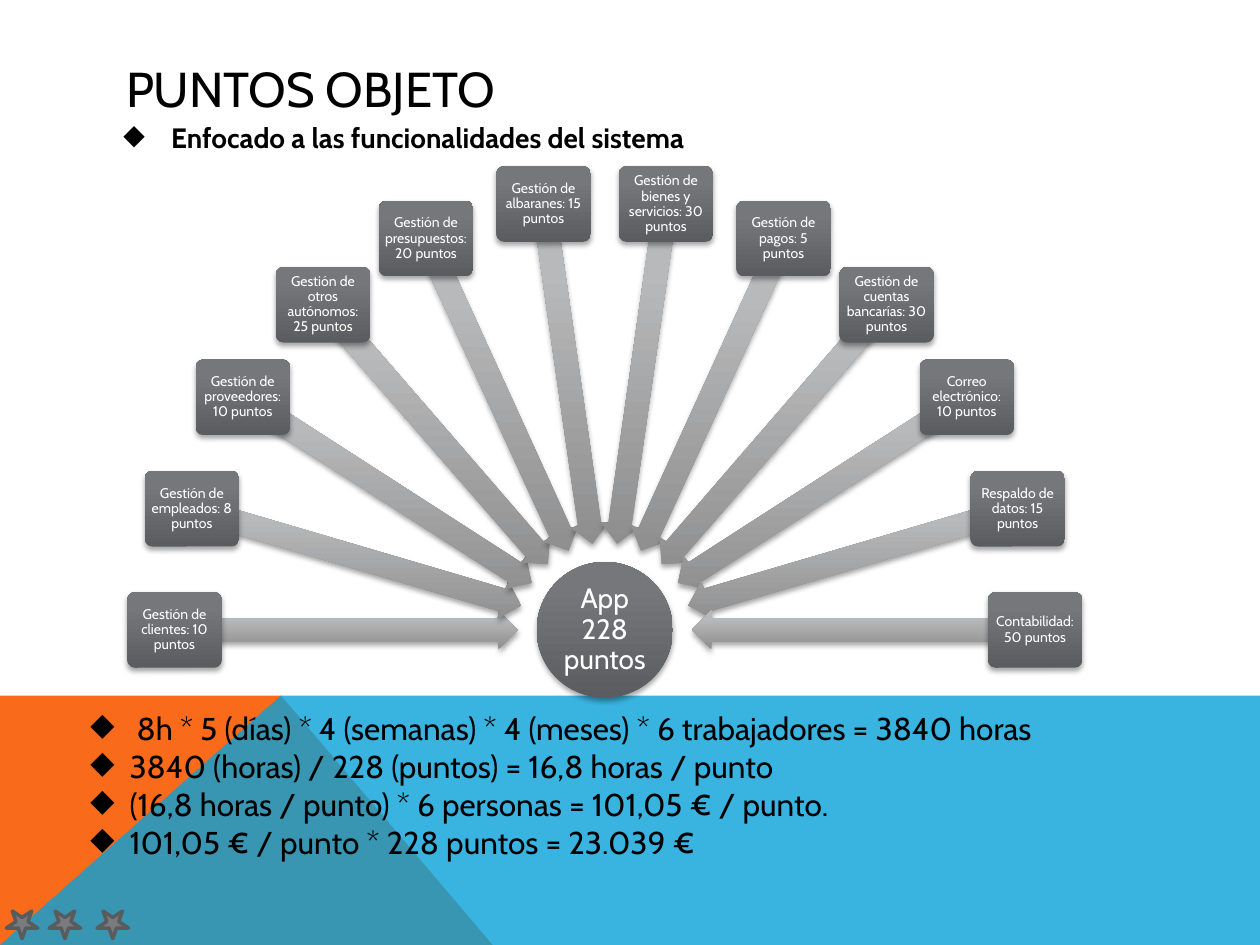
import math

from lxml import etree
from pptx import Presentation
from pptx import util as u
from pptx.dml.color import RGBColor
from pptx.enum import shapes, text
from pptx.oxml import parse_xml
from pptx.oxml.ns import nsdecls, qn

BLACK = RGBColor(0x00, 0x00, 0x00)
WHITE = RGBColor(0xFF, 0xFF, 0xFF)
ORANGE = RGBColor(0xF9, 0x6A, 0x1B)
BLUE = RGBColor(0x08, 0xA1, 0xD9)
STAR_FILL = RGBColor(0x79, 0x7B, 0x7E)
STAR_LINE = RGBColor(0x5A, 0x5B, 0x5D)
DARK_GRADIENT = (
    (0, RGBColor(0x5A, 0x5C, 0x5F)),
    (80, RGBColor(0x75, 0x77, 0x7B)),
    (100, RGBColor(0x75, 0x78, 0x7C)),
)
LIGHT_GRADIENT = (
    (0, RGBColor(0x8E, 0x8E, 0x8F)),
    (80, RGBColor(0xB8, 0xB9, 0xBA)),
    (100, RGBColor(0xB9, 0xBA, 0xBB)),
)

CENTER_X, CENTER_Y = 4.8, 5.0
BOX_RADIUS, ARROW_RADIUS = 3.415, 2.05

FUNCTIONS = [
    "Gestión de clientes: 10 puntos",
    "Gestión de empleados: 8 puntos",
    "Gestión de proveedores: 10 puntos",
    "Gestión de otros autónomos: 25 puntos",
    "Gestión de presupuestos: 20 puntos",
    "Gestión de albaranes: 15 puntos",
    "Gestión de bienes y servicios: 30 puntos",
    "Gestión de pagos: 5 puntos",
    "Gestión de cuentas bancarías: 30 puntos",
    "Correo electrónico: 10 puntos",
    "Respaldo de datos: 15 puntos",
    "Contabilidad: 50 puntos",
]
CALCULATIONS = [
    " 8h * 5 (días) * 4 (semanas) * 4 (meses) * 6 trabajadores = 3840 horas",
    "3840 (horas) / 228 (puntos) = 16,8 horas / punto",
    "(16,8 horas / punto) * 6 personas = 101,05 € / punto.",
    "101,05 € / punto * 228 puntos = 23.039 €",
]


class SlideBuilder:
    def __init__(self, slide, font_name):
        self.s = slide
        self.font_name = font_name

    def style(self, p, size, color, bold=False):
        p.font.name = self.font_name
        p.font.size = u.Pt(size)
        p.font.color.rgb = color
        p.font.bold = bold

    def title(self, content, left, top, width, height):
        sp = self.s.shapes.title
        sp.left, sp.top = u.Inches(left), u.Inches(top)
        sp.width, sp.height = u.Inches(width), u.Inches(height)
        tf = sp.text_frame
        tf.text = content
        tf.auto_size = text.MSO_AUTO_SIZE.NONE
        tf.vertical_anchor = text.MSO_ANCHOR.MIDDLE
        p = tf.paragraphs[0]
        p.alignment = text.PP_ALIGN.LEFT
        self.style(p, 28, BLACK)

    def bullets(self, lines, left, top, width, height, size, indent, bold=False, before=0):
        sp = self.s.shapes.add_textbox(*map(u.Inches, (left, top, width, height)))
        tf = sp.text_frame
        tf.word_wrap = True
        tf.text = "\n".join(lines)
        for p in tf.paragraphs:
            p.space_before = u.Pt(before)
            self.style(p, size, BLACK, bold)
            pPr = p._p.get_or_add_pPr()
            pPr.set("marL", str(u.Inches(indent)))
            pPr.set("indent", str(-u.Inches(indent)))
            bullet = parse_xml(f'<a:buChar {nsdecls("a")} char="◆"/>')
            pPr.find(qn("a:defRPr")).addprevious(bullet)

    def band(self, points, color, opacity=100):
        vertices = [(u.Inches(x), u.Inches(y)) for x, y in points]
        builder = self.s.shapes.build_freeform(*vertices[0])
        builder.add_line_segments(vertices[1:], close=True)
        sp = builder.convert_to_shape()
        sp.shadow.inherit = False
        sp.fill.solid()
        sp.fill.fore_color.rgb = color
        sp.line.fill.background()
        if opacity < 100:
            clr = sp._element.spPr.find(qn("a:solidFill"))[0]
            etree.SubElement(clr, qn("a:alpha")).set("val", str(opacity * 1000))

    def shaded(self, kind, center_x, center_y, width, height, stops):
        left, top = center_x - width / 2, center_y - height / 2
        sp = self.s.shapes.add_shape(kind, *map(u.Inches, (left, top, width, height)))
        sp.line.fill.background()
        gs = "".join(
            f'<a:gs pos="{pos * 1000}"><a:srgbClr val="{color}"/></a:gs>' for pos, color in stops
        )
        spPr = sp._element.spPr
        spPr.find(qn("a:prstGeom")).addnext(parse_xml(
            f'<a:gradFill {nsdecls("a")} rotWithShape="0"><a:gsLst>{gs}</a:gsLst>'
            '<a:lin ang="16200000" scaled="0"/></a:gradFill>'
        ))
        spPr.find(qn("a:ln")).addnext(parse_xml(
            f'<a:effectLst {nsdecls("a")}><a:outerShdw blurRad="{u.Pt(3.1)}" '
            f'dist="{u.Pt(1.8)}" dir="5400000" rotWithShape="0">'
            '<a:srgbClr val="000000"><a:alpha val="35000"/></a:srgbClr>'
            '</a:outerShdw></a:effectLst>'
        ))
        return sp

    def label(self, sp, content, size, inset):
        tf = sp.text_frame
        tf.word_wrap = True
        tf.vertical_anchor = text.MSO_ANCHOR.MIDDLE
        tf.margin_left = tf.margin_right = tf.margin_top = tf.margin_bottom = u.Inches(inset)
        tf.text = content
        p = tf.paragraphs[0]
        p.alignment = text.PP_ALIGN.CENTER
        p.line_spacing = 0.9
        self.style(p, size, WHITE)

    def hub(self, content):
        sp = self.shaded(shapes.MSO_SHAPE.OVAL, CENTER_X, CENTER_Y, 1.08, 1.08, DARK_GRADIENT)
        self.label(sp, content, 16, 0.01)

    def spoke(self, content, degrees):
        dx, dy = math.cos(math.radians(degrees)), math.sin(math.radians(degrees))
        arrow = self.shaded(
            shapes.MSO_SHAPE.LEFT_ARROW,
            CENTER_X - ARROW_RADIUS * dx, CENTER_Y - ARROW_RADIUS * dy,
            2.72, 0.31, LIGHT_GRADIENT,
        )
        arrow.adjustments[0] = 0.6
        arrow.adjustments[1] = 0.5
        arrow.rotation = (180 + degrees) % 360
        box = self.shaded(
            shapes.MSO_SHAPE.ROUNDED_RECTANGLE,
            CENTER_X - BOX_RADIUS * dx, CENTER_Y - BOX_RADIUS * dy,
            0.75, 0.6, DARK_GRADIENT,
        )
        box.adjustments[0] = 0.1
        self.label(box, content, 8, 0.02)

    def star(self, left):
        box = map(u.Inches, (left, 7.23, 0.25, 0.22))
        sp = self.s.shapes.add_shape(shapes.MSO_SHAPE.STAR_5_POINT, *box)
        sp.shadow.inherit = False
        sp.fill.solid()
        sp.fill.fore_color.rgb = STAR_FILL
        sp.line.color.rgb = STAR_LINE
        sp.line.width = u.Pt(2)
        sp._element.spPr.find(qn("a:xfrm")).set("flipV", "1")


def main():
    prs = Presentation()
    prs.slide_width, prs.slide_height = u.Inches(10), u.Inches(7.5)
    b = SlideBuilder(prs.slides.add_slide(prs.slide_layouts[5]), "Cabin")

    b.band([(0, 7.5), (0, 5.52), (2.23, 5.52), (3.91, 7.5)], ORANGE)
    b.band([(0, 7.5), (2.23, 5.52), (10, 5.52), (10, 7.5)], BLUE, opacity=80)
    b.title("PUNTOS OBJETO", 0.9, 0.4, 8.22, 0.6)
    b.bullets(["Enfocado a las funcionalidades del sistema"], 0.88, 0.91, 8.22, 0.5,
              size=16, indent=0.38, bold=True, before=8)

    b.hub("App 228 puntos")
    step = 180 / (len(FUNCTIONS) - 1)
    for i, content in enumerate(FUNCTIONS):
        b.spoke(content, i * step)

    b.bullets(CALCULATIONS, 0.62, 5.58, 8.34, 1.92, size=18, indent=0.31)
    for left in (0.05, 0.39, 0.77):
        b.star(left)

    prs.save("out.pptx")


if __name__ == "__main__":
    main()
